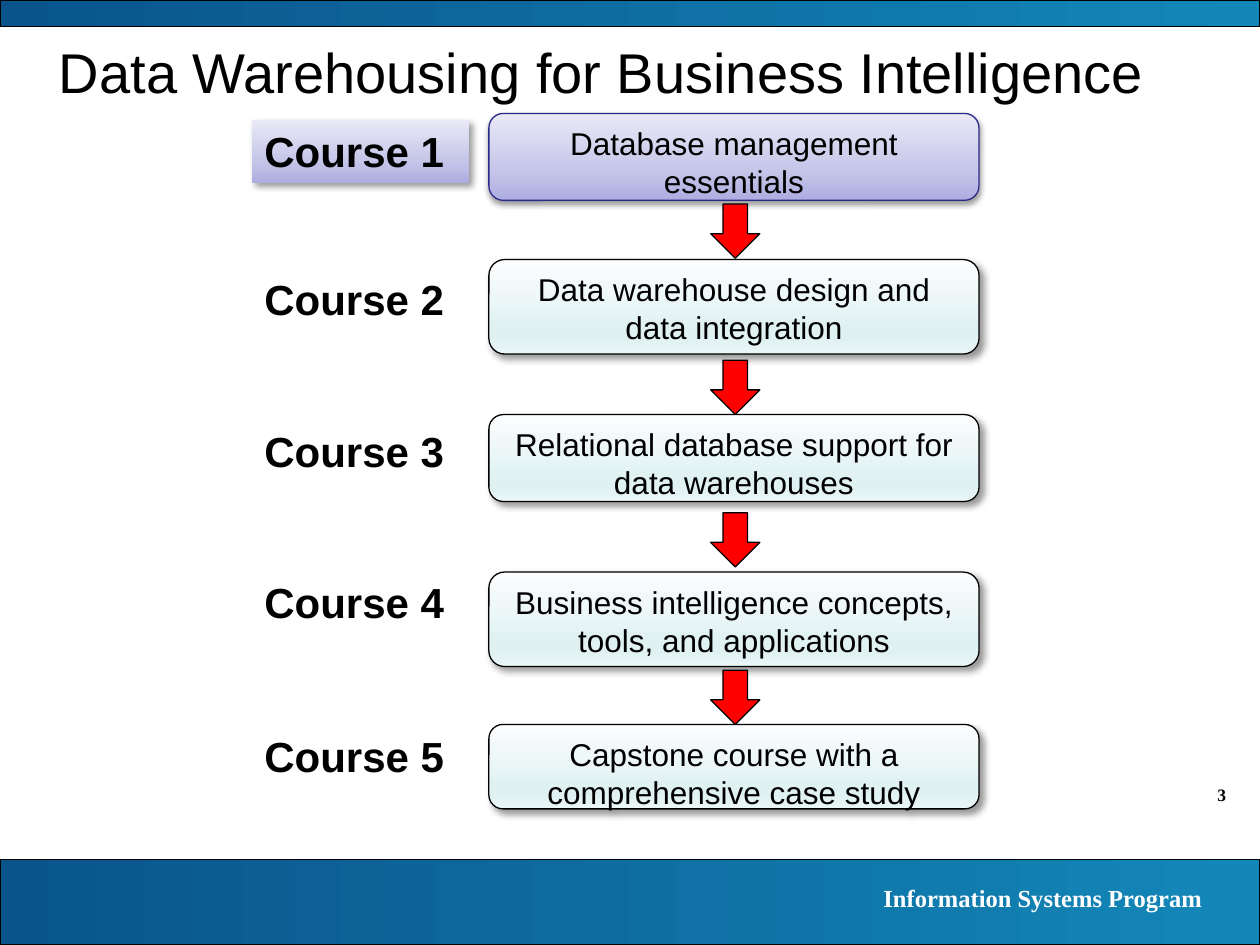
from pptx import Presentation
from pptx.dml.color import RGBColor as Rgb
from pptx.enum.shapes import MSO_SHAPE as Kind
from pptx.enum.text import MSO_ANCHOR as Anchor, PP_ALIGN as Align
from pptx.oxml import parse_xml as to_xml
from pptx.oxml.ns import nsdecls, qn
from pptx.util import Inches, Pt

BLUE = ([(0, "0A548C"), (100, "1387B8")], 0)
LILAC = ([(0, "ADADE1"), (35, "C6C6E9"), (100, "E9E9F7")], 270)
MINT = ([(0, "FCFDFE"), (74, "E0F1F2"), (83, "E0F1F2"), (100, "EBF6F7")], 90)
SOFT = (38, 3.1, 1.6, 90)
DEEP = (40, 4, 3, 45)
BODY = {"name": "Arial", "size": Pt(18), "bold": False}
LABEL = {"name": "Arial", "size": Pt(24), "bold": True}
TITLE = {"name": "Arial", "size": Pt(32), "bold": False}
FOOT = {"name": "Times New Roman", "size": Pt(14), "bold": True}
PAGE = {**FOOT, "size": Pt(10)}

COURSES = [
    ("Database management essentials", 0.9, 0.69, 0.95),
    ("Data warehouse design and data integration", 2.06, 0.75, 2.12),
    ("Relational database support for data warehouses", 3.29, 0.69, 3.33),
    ("Business intelligence concepts, tools, and applications", 4.54, 0.75, 4.53),
    ("Capstone course with a comprehensive case study", 5.75, 0.67, 5.75),
]
ARROWS = [1.62, 2.86, 4.07, 5.32]


def color(code):
    return Rgb.from_string(code)


def blend(shape, stops, angle):
    marks = "".join(
        f'<a:gs pos="{pos * 1000}"><a:srgbClr val="{code}"/></a:gs>'
        for pos, code in stops)
    shape.fill.background()
    props = shape._element.spPr
    props.replace(props.find(qn("a:noFill")), to_xml(
        f'<a:gradFill {nsdecls("a")} rotWithShape="1"><a:gsLst>{marks}</a:gsLst>'
        f'<a:lin ang="{angle * 60000}" scaled="0"/></a:gradFill>'))


def shade(shape, alpha, blur, dist, angle):
    effects = shape._element.spPr.find(qn("a:effectLst"))
    effects.append(to_xml(
        f'<a:outerShdw {nsdecls("a")} blurRad="{Pt(blur)}" dist="{Pt(dist)}" '
        f'dir="{angle * 60000}" algn="t" rotWithShape="0"><a:srgbClr val="000000">'
        f'<a:alpha val="{alpha * 1000}"/></a:srgbClr></a:outerShdw>'))


def write(shape, text, style, align=Align.LEFT, ink="000000", anchor=Anchor.TOP):
    frame = shape.text_frame
    frame.word_wrap = True
    frame.vertical_anchor = anchor
    par = frame.paragraphs[0]
    par.alignment = align
    run = par.add_run()
    run.text = text
    for key, value in style.items():
        setattr(run.font, key, value)
    run.font.color.rgb = color(ink)


def add_text(slide, box, text, style, **look):
    write(slide.shapes.add_textbox(*map(Inches, box)), text, style, **look)


def add_form(slide, kind, box, fill, line="000000", shadow=None):
    shape = slide.shapes.add_shape(kind, *map(Inches, box))
    shape.shadow.inherit = False
    if isinstance(fill, str):
        shape.fill.solid()
        shape.fill.fore_color.rgb = color(fill)
    else:
        blend(shape, *fill)
    if line:
        shape.line.color.rgb = color(line)
        shape.line.width = Pt(0.75)
    else:
        shape.line.fill.background()
    if shadow:
        shade(shape, *shadow)
    return shape


def add_course(slide, num, text, top, height, label_top):
    first = num == 1
    fill, line, shadow = (LILAC, "2A2A89", SOFT) if first else (MINT, "000000", DEEP)
    card = add_form(slide, Kind.ROUNDED_RECTANGLE, (3.88, top, 3.89, height),
                    fill, line, shadow)
    write(card, text, BODY, Align.CENTER)
    box = (2, label_top, 1.72, 0.5)
    name = f"Course {num}"
    if first:
        write(add_form(slide, Kind.RECTANGLE, box, LILAC, None, DEEP), name, LABEL)
    else:
        add_text(slide, box, name, LABEL)


def main():
    deck = Presentation()
    deck.slide_width, deck.slide_height = Inches(10), Inches(7.5)
    slide = deck.slides.add_slide(deck.slide_layouts[6])
    add_text(slide, (9, 6.17, 0.83, 0.27), "3", PAGE, align=Align.RIGHT)
    for top, height in [(6.82, 0.68), (0, 0.21)]:
        add_form(slide, Kind.RECTANGLE, (0, top, 10, height), BLUE)
    add_text(slide, (5.55, 6.96, 4.09, 0.34), "Information Systems Program", FOOT,
             align=Align.RIGHT, ink="FFFFFF")
    add_text(slide, (0.37, 0.19, 9.17, 0.75),
             "Data Warehousing for Business Intelligence", TITLE, anchor=Anchor.MIDDLE)
    for num, course in enumerate(COURSES, 1):
        add_course(slide, num, *course)
    for top in ARROWS:
        add_form(slide, Kind.DOWN_ARROW, (5.64, top, 0.39, 0.43), "FF0000")
    deck.save("out.pptx")


if __name__ == "__main__":
    main()
